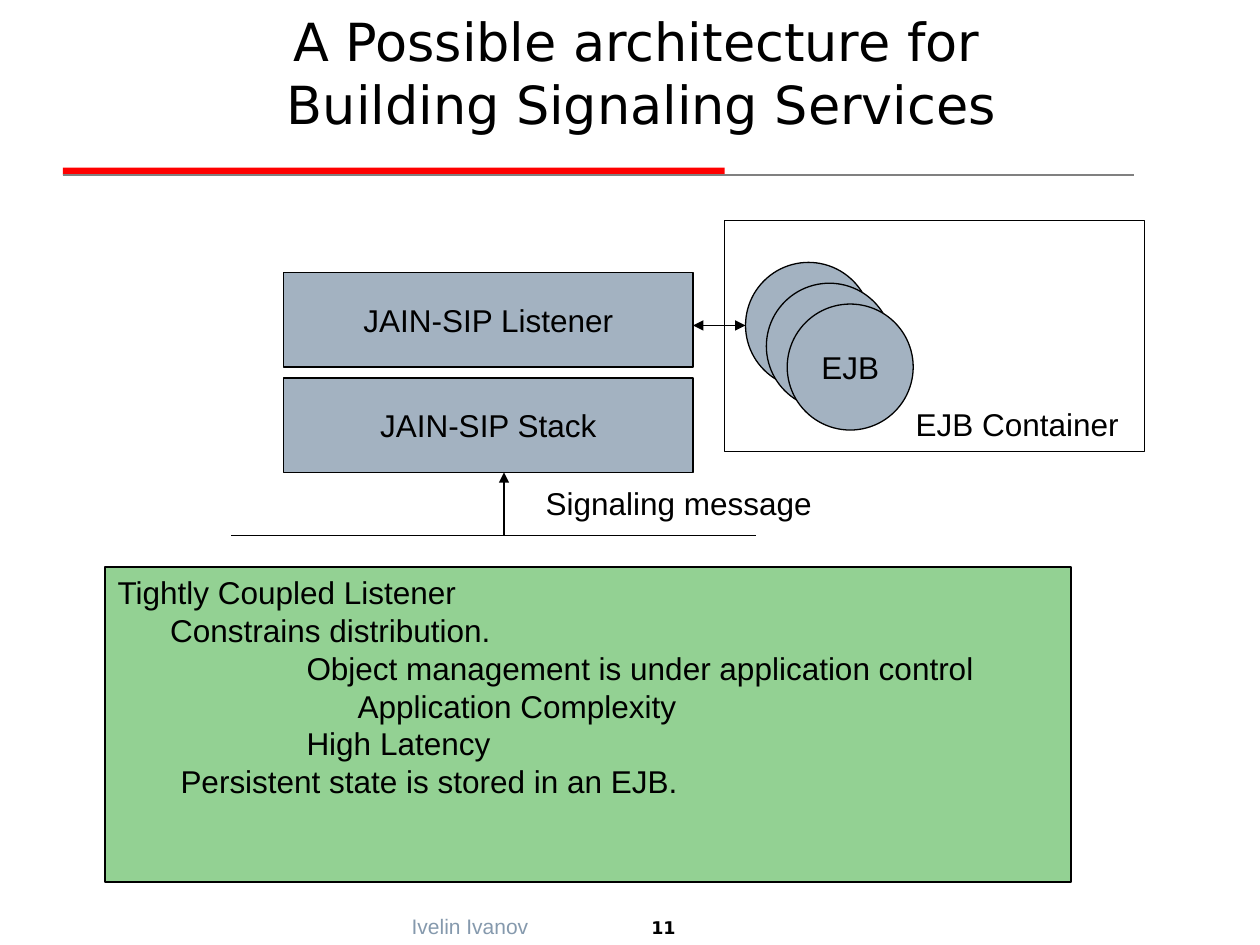
from pptx import Presentation
from pptx.dml.color import RGBColor
from pptx.enum.shapes import MSO_CONNECTOR, MSO_SHAPE
from pptx.enum.text import MSO_ANCHOR, PP_ALIGN
from pptx.oxml.ns import qn
from pptx.util import Cm, Pt
from lxml.etree import SubElement

BLACK = RGBColor(0x00, 0x00, 0x00)
RED = RGBColor(0xFF, 0x00, 0x00)
GRAY = RGBColor(0x80, 0x80, 0x80)
STEEL = RGBColor(0xA3, 0xB2, 0xC1)
FOOTER_BLUE = RGBColor(0x85, 0x99, 0xAD)
GREEN = RGBColor(0x93, 0xD1, 0x93)

# Positions are left, top, width, height in centimetres
TITLE = "A Possible architecture for \vBuilding Signaling Services"
LAYERS = ["JAIN-SIP Listener", "JAIN-SIP Stack"]
LAYER_LEFT, LAYER_TOP, LAYER_WIDTH, LAYER_HEIGHT = 5.72, 5.5, 8.25, 1.9
LAYER_STEP = 2.12
EJB_COUNT = 3
EJB_LEFT, EJB_TOP, EJB_SIZE, EJB_STEP = 15.03, 5.29, 2.54, 0.42
CONTAINER = (14.6, 4.45, 8.47, 4.65)
LABELS = [
    ("Signaling message", (10.75, 9.63, 6.2, 1.02)),
    ("EJB Container", (18.21, 8.05, 4.8, 1.02)),
]
NOTES_BOX = (2.12, 11.43, 19.47, 6.35)
NOTES = [  # text, indent
    ("Tightly Coupled Listener", 0),
    ("Constrains distribution.", 1.06),
    ("Object management is under application control", 3.81),
    ("Application Complexity", 4.84),
    ("High Latency", 3.81),
    ("Persistent state is stored in an EJB.", 1.27),
]


def add_text(shape, text, size=18, font="Arial", color=BLACK, bold=False,
             align=PP_ALIGN.LEFT, anchor=MSO_ANCHOR.TOP, wrap=True):
    frame = shape.text_frame
    frame.word_wrap = wrap
    frame.vertical_anchor = anchor
    frame.text = text
    for paragraph in frame.paragraphs:
        paragraph.alignment = align
        for run in paragraph.runs:
            run.font.size = Pt(size)
            run.font.name = font
            run.font.bold = bold
            run.font.color.rgb = color


def add_centered_text(shape, text):
    add_text(shape, text, align=PP_ALIGN.CENTER, anchor=MSO_ANCHOR.MIDDLE, wrap=False)


def add_text_box(slide, text, box, **style):
    add_text(slide.shapes.add_textbox(*map(Cm, box)), text, **style)


def add_block(slide, kind, box, fill=None, line=BLACK):
    shape = slide.shapes.add_shape(kind, *map(Cm, box))
    shape.shadow.inherit = False
    if fill is None:
        shape.fill.background()
    else:
        shape.fill.solid()
        shape.fill.fore_color.rgb = fill
    if line is None:
        shape.line.fill.background()
    else:
        shape.line.color.rgb = line
        shape.line.width = Pt(0.75)
    return shape


def add_line(slide, points, color=BLACK, arrows=()):
    """Arrows lists the ends that get a head: headEnd (start), tailEnd (end)."""
    connector = slide.shapes.add_connector(MSO_CONNECTOR.STRAIGHT, *map(Cm, points))
    connector.line.color.rgb = color
    connector.line.width = Pt(0.75)
    properties = connector._element.spPr
    for end in arrows:
        SubElement(properties.find(qn("a:ln")), qn(f"a:{end}"), type="triangle")
    SubElement(properties, qn("a:effectLst"))


def add_ejb(slide, index):
    offset = index * EJB_STEP
    box = (EJB_LEFT + offset, EJB_TOP + offset, EJB_SIZE, EJB_SIZE)
    add_centered_text(add_block(slide, MSO_SHAPE.OVAL, box, STEEL), "EJB")


def main():
    presentation = Presentation()
    presentation.slide_width, presentation.slide_height = Cm(25.4), Cm(19.05)
    slide = presentation.slides.add_slide(presentation.slide_layouts[6])

    # Title, rule and footer
    add_block(slide, MSO_SHAPE.RECTANGLE, (1.27, 3.38, 13.34, 0.15), RED, None)
    add_line(slide, (1.27, 3.53, 22.86, 3.53), GRAY)
    add_text_box(slide, "11", (9.35, 18.37, 8.05, 0.74), size=10,
                 font="DejaVu Sans", bold=True, align=PP_ALIGN.CENTER)
    add_text_box(slide, "Ivelin Ivanov", (8.05, 18.29, 3.4, 0.76), size=12,
                 color=FOOTER_BLUE)
    add_text_box(slide, TITLE, (1.48, 1.06, 18.87, 1.78), size=30, font="DejaVu Sans",
                 align=PP_ALIGN.RIGHT, anchor=MSO_ANCHOR.BOTTOM)

    # Architecture; the container outline passes over the rearmost bean
    for index, name in enumerate(LAYERS):
        box = (LAYER_LEFT, LAYER_TOP + index * LAYER_STEP, LAYER_WIDTH, LAYER_HEIGHT)
        add_centered_text(add_block(slide, MSO_SHAPE.RECTANGLE, box, STEEL), name)
    add_ejb(slide, 0)
    ejb_middle = EJB_TOP + EJB_SIZE / 2
    add_line(slide, (LAYER_LEFT + LAYER_WIDTH, ejb_middle, EJB_LEFT, ejb_middle),
             arrows=("headEnd", "tailEnd"))
    add_line(slide, (4.66, 10.8, 15.24, 10.8))
    stack_bottom = LAYER_TOP + LAYER_STEP + LAYER_HEIGHT
    add_line(slide, (10.16, 10.8, 10.16, stack_bottom), arrows=("tailEnd",))
    add_block(slide, MSO_SHAPE.RECTANGLE, CONTAINER)
    for text, box in LABELS:
        add_text_box(slide, text, box)
    for index in range(1, EJB_COUNT):
        add_ejb(slide, index)

    # Notes on the coupling
    notes = add_block(slide, MSO_SHAPE.RECTANGLE, NOTES_BOX, GREEN)
    add_text(notes, "\n".join(text for text, _ in NOTES))
    for paragraph, (_, indent) in zip(notes.text_frame.paragraphs, NOTES):
        paragraph._p.get_or_add_pPr().set("marL", str(Cm(indent)))

    presentation.save("out.pptx")


if __name__ == "__main__":
    main()
